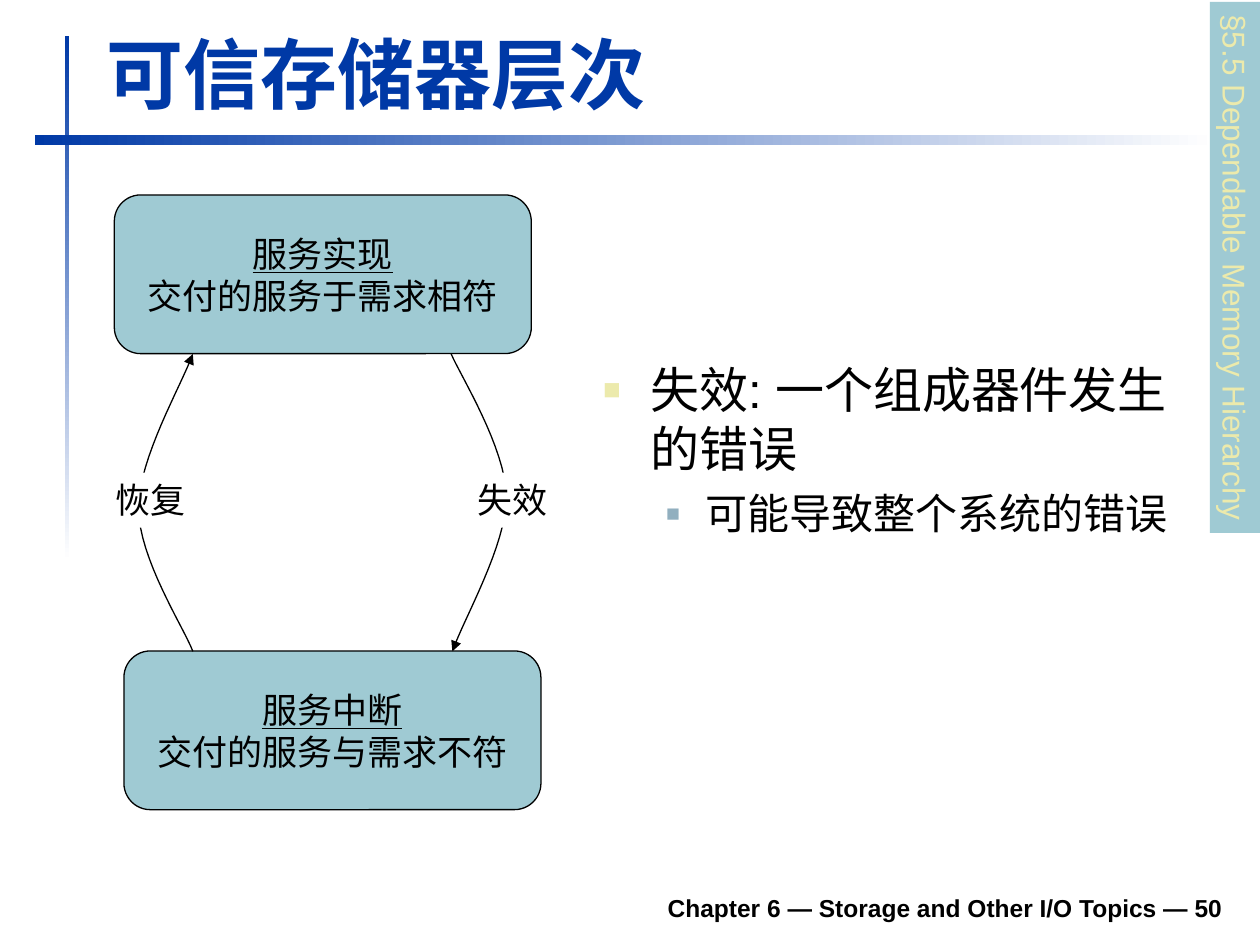
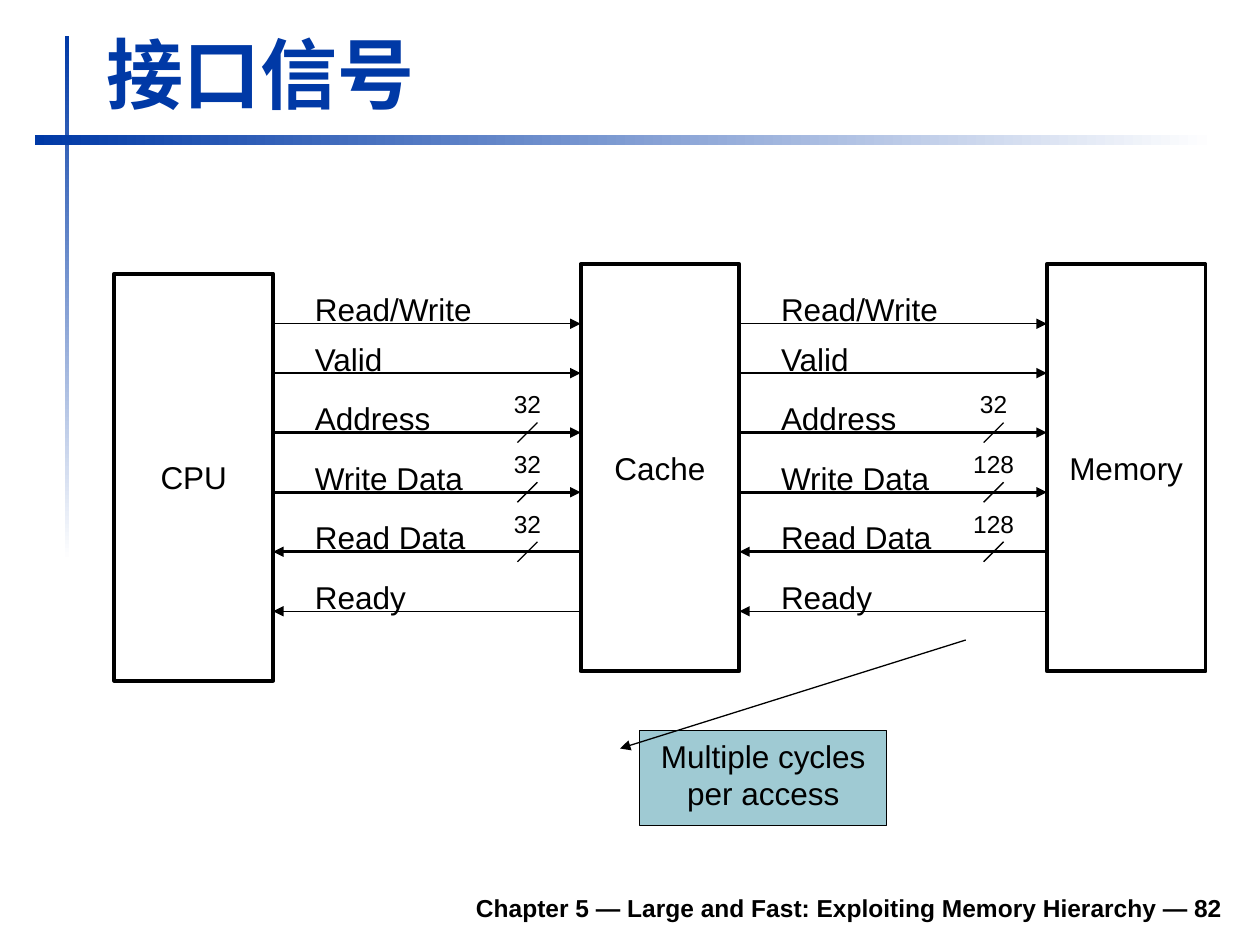
from lxml.etree import SubElement as Sub
from pptx import Presentation
from pptx.dml.color import RGBColor as Rgb
from pptx.enum.shapes import MSO_CONNECTOR as Conn, MSO_SHAPE as Kind
from pptx.enum.text import MSO_ANCHOR as Anchor, PP_ALIGN as Align
from pptx.oxml.ns import qn
from pptx.util import Pt

HUES = {"blue": "0039A6", "white": "FFFFFF", "black": "000000",
        "teal": "9FCAD3", "cream": "ECEAAC", "steel": "91AFBF"}
FONT = "Arial"

TRUST = {
    "title": "可信存储器层次",
    "foot": "Chapter 6 — Storage and Other I/O Topics — 50",
    "side": "§5.5 Dependable Memory Hierarchy",
    "states": [
        (65.3, 111.4, "服务实现", "交付的服务于需求相符"),
        (70.8, 372, "服务中断", "交付的服务与需求不符"),
    ],
    "moves": [
        ("失效", 265.7, Align.LEFT,
         [(257.8, 202.3), (263.5, 215.3), (288.7, 255.6), (289.4, 283.7),
          (289.4, 311.8), (265, 353.5), (258.5, 372.2)]),
        ("恢复", 59.3, Align.RIGHT,
         [(110.2, 372.2), (105.1, 358.6), (79.2, 319), (79.2, 290.2),
          (79.2, 262.1), (103.7, 220.3), (110.2, 202.3)]),
    ],
    "points": [
        ("失效: 一个组成器件发生的错误", 28, 27, -27, "cream", 60, 0),
        ("可能导致整个系统的错误", 24, 58.5, -22.5, "steel", 55, 6),
    ],
}

PORTS = {
    "title": "接口信号",
    "foot": "Chapter 5 — Large and Fast: Exploiting Memory Hierarchy — 82",
    "units": [("CPU", 156.4), ("Cache", 151), ("Memory", 151)],
    "wires": [
        ("Read/Write", 185, "tail", None),
        ("Valid", 213.2, "tail", None),
        ("Address", 247.2, "tail", ("32", "32")),
        ("Write Data", 281.3, "tail", ("32", "128")),
        ("Read Data", 315.3, "head", ("32", "128")),
        ("Ready", 349.3, "head", None),
    ],
    "note": "Multiple cycles per access",
}


def tint(name):
    return Rgb.from_string(HUES[name])


def ink(para, size, hue="black", bold=False, align=Align.LEFT):
    para.alignment = align
    for run in para.runs:
        font = run.font
        font.name, font.size, font.bold = FONT, Pt(size), bold
        font.color.rgb = tint(hue)


def write(shape, text, size, hue="black", bold=False, align=Align.LEFT,
          anchor=Anchor.TOP, wrap=True):
    frame = shape.text_frame
    frame.text = text
    frame.word_wrap, frame.vertical_anchor = wrap, anchor
    for para in frame.paragraphs:
        ink(para, size, hue, bold, align)
    return frame


def label(slide, box, text, size, **style):
    return write(slide.shapes.add_textbox(*map(Pt, box)), text, size, **style)


def stroke(shape, width):
    shape.line.color.rgb = tint("black")
    shape.line.width = Pt(width)


def block(slide, box, fill=None, width=0, kind=Kind.RECTANGLE):
    shape = slide.shapes.add_shape(kind, *map(Pt, box))
    shape.shadow.inherit = False
    if fill:
        shape.fill.solid()
        shape.fill.fore_color.rgb = tint(fill)
    else:
        shape.fill.background()
    if width:
        stroke(shape, width)
    else:
        shape.line.fill.background()
    return shape


def arrow(shape, end):
    line = shape._element.spPr.find(qn("a:ln"))
    Sub(line, qn(f"a:{end}End"), type="triangle")


def wire(slide, start, stop, width=0.75, end=None):
    line = slide.shapes.add_connector(Conn.STRAIGHT, *map(Pt, start + stop))
    stroke(line, width)
    if end:
        arrow(line, end)
    Sub(line._element.spPr, qn("a:effectLst"))


def bezier(a, b, c, d, steps=16):
    for i in range(1, steps + 1):
        t = i / steps
        s = 1 - t
        yield tuple(s**3 * p + 3 * s * s * t * q + 3 * s * t * t * r + t**3 * u
                    for p, q, r, u in zip(a, b, c, d))


def curve(slide, knots):
    fine = [(Pt(x), Pt(y)) for x, y in knots]
    path = slide.shapes.build_freeform(*fine[0])
    for i in range(0, len(fine) - 1, 3):
        path.add_line_segments(list(bezier(*fine[i:i + 4])), close=False)
    shape = path.convert_to_shape()
    shape.fill.background()
    stroke(shape, 0.75)
    arrow(shape, "tail")
    shape.shadow.inherit = False


def bullet(para, left, hang, hue, size):
    props = para._p.get_or_add_pPr()
    props.set("marL", str(Pt(left)))
    props.set("indent", str(Pt(hang)))
    Sub(Sub(props, qn("a:buClr")), qn("a:srgbClr"), val=HUES[hue])
    Sub(props, qn("a:buSzPct"), val=str(size * 1000))
    Sub(props, qn("a:buFont"), typeface=FONT)
    Sub(props, qn("a:buChar"), char="■")


def base(deck, data):
    slide = deck.slides.add_slide(deck.slide_layouts[6])
    for box, angle in (((37, 20.4, 2.5, 300), 270), ((19.8, 77, 675, 5.8), 0)):
        fill = block(slide, box).fill
        fill.gradient()
        fill.gradient_angle = angle
        for stop, hue in zip(fill.gradient_stops, ("blue", "white")):
            stop.color.rgb = tint(hue)
    label(slide, (133.4, 502.6, 572.4, 28), data["foot"], 14, bold=True,
          align=Align.RIGHT, anchor=Anchor.BOTTOM)
    label(slide, (54, 11.5, 650, 59.8), data["title"], 44, hue="blue",
          bold=True, anchor=Anchor.BOTTOM)
    return slide


def trust(deck):
    slide = base(deck, TRUST)
    body = label(slide, (337.5, 202, 339.8, 289.4),
                 "\n".join(row[0] for row in TRUST["points"]), 28)
    for para, row in zip(body.paragraphs, TRUST["points"]):
        text, size, left, hang, hue, scale, gap = row
        bullet(para, left, hang, hue, scale)
        if gap:
            para.space_before = Pt(gap)
        ink(para, size)
    for x, y, head, text in TRUST["states"]:
        shape = block(slide, (x, y, 238.3, 90.7), "teal", 0.75,
                      Kind.ROUNDED_RECTANGLE)
        frame = write(shape, f"{head}\n{text}", 20, align=Align.CENTER,
                      anchor=Anchor.MIDDLE, wrap=False)
        frame.paragraphs[0].runs[0].font.underline = True
    for text, x, align, knots in TRUST["moves"]:
        curve(slide, knots)
        write(block(slide, (x, 270, 54, 31.5), "white"), text, 20,
              align=align, wrap=False)
    side = block(slide, (554, 138.4, 303.4, 28.8), "teal")
    side.rotation = 90
    write(side, TRUST["side"], 18, hue="cream", wrap=False)


def ports(deck):
    slide = base(deck, PORTS)
    first, pitch, wide, tall = 65.4, 266.4, 90.7, 232.6
    for i, (name, top) in enumerate(PORTS["units"]):
        unit = block(slide, (first + i * pitch, top, wide, tall), width=2.25)
        write(unit, name, 18, align=Align.CENTER, anchor=Anchor.MIDDLE,
              wrap=False)
    for side in range(2):
        left = first + wide + side * pitch
        right = left + pitch - wide
        for text, y, end, bits in PORTS["wires"]:
            wire(slide, (left, y), (right, y), 1.5 if bits else 0.75, end)
            label(slide, (left + 16.7, y - 22.7, 115, 28.8), text, 18)
            if bits:
                mid = right - 30.4
                wire(slide, (mid - 5.7, y + 5.7), (mid + 5.7, y - 5.7))
                label(slide, (mid - 24, y - 28.2, 48, 24.5), bits[side],
                      14, align=Align.CENTER)
    note = block(slide, (365.6, 417.4, 141.1, 54.4), "teal", 0.75,
                 Kind.LINE_CALLOUT_1)
    for i, value in enumerate((0.19, -0.08, -0.95, 1.32)):
        note.adjustments[i] = value
    arrow(note, "head")
    write(note, PORTS["note"], 18, align=Align.CENTER)


def main():
    deck = Presentation()
    deck.slide_width, deck.slide_height = Pt(720), Pt(540)
    trust(deck)
    ports(deck)
    deck.save("out.pptx")


if __name__ == "__main__":
    main()
